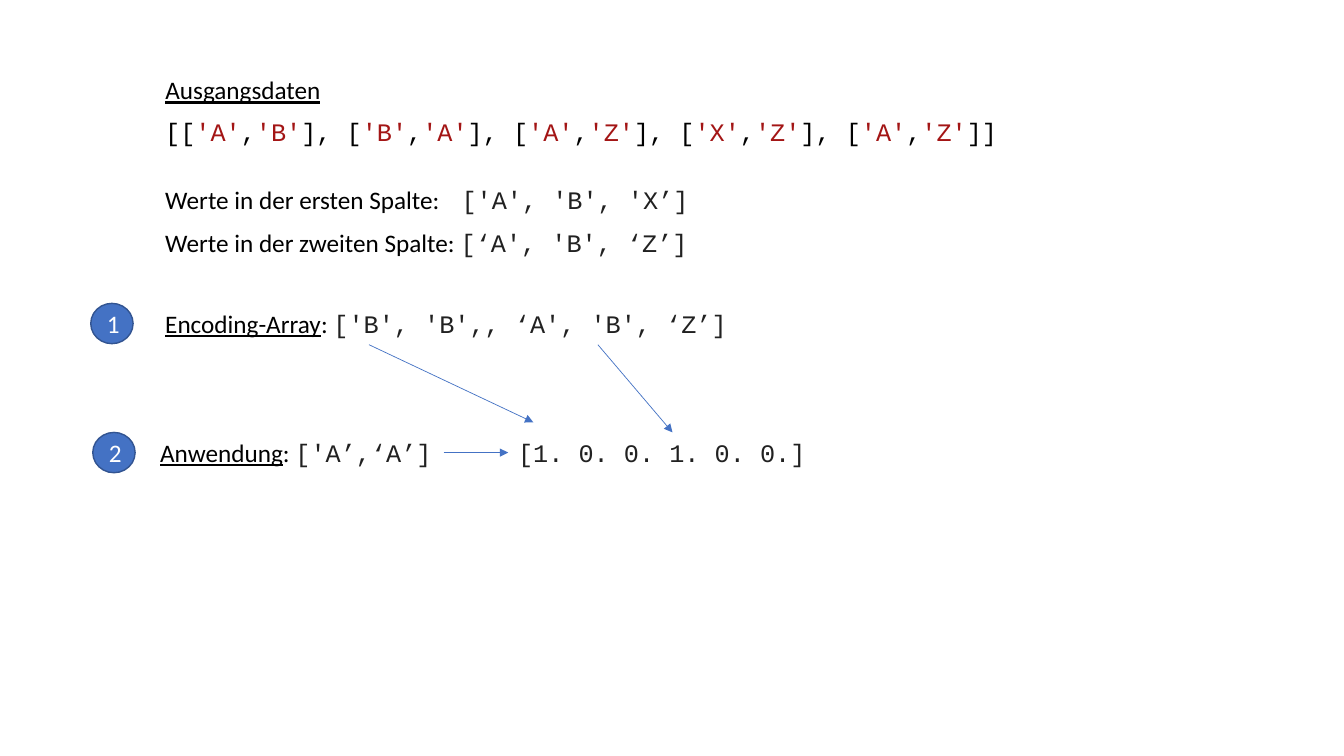
from lxml import etree
from pptx import Presentation
from pptx.dml.color import RGBColor
from pptx.enum import shapes, text
from pptx.oxml import ns
from pptx.util import Inches, Pt

BLACK = RGBColor(0x00, 0x00, 0x00)
CODE = RGBColor(0x21, 0x21, 0x21)
RED = RGBColor(0xA3, 0x15, 0x15)
BLUE = RGBColor(0x44, 0x72, 0xC4)
DARK_BLUE = RGBColor(0x32, 0x54, 0x91)
WHITE = RGBColor(0xFF, 0xFF, 0xFF)


def add_run(paragraph, content, font="Calibri", color=BLACK, underline=False):
    run = paragraph.add_run()
    run.text = content
    run.font.name = font
    run.font.size = Pt(18)
    run.font.color.rgb = color
    run.font.underline = underline


class EncodingSlide:
    """Holds the style and the current slide, with a method for each kind of element."""

    body_font = "Calibri"
    code_font = "Courier New"
    row_height = 0.4

    def __init__(self, presentation):
        self.slide = presentation.slides.add_slide(presentation.slide_layouts[5])

    def fill_text(self, shape, runs):
        frame = shape.text_frame
        frame.word_wrap = False
        frame.auto_size = text.MSO_AUTO_SIZE.SHAPE_TO_FIT_TEXT
        frame.vertical_anchor = text.MSO_ANCHOR.TOP
        paragraph = frame.paragraphs[0]
        paragraph.alignment = text.PP_ALIGN.LEFT
        for content, style in runs:
            add_run(paragraph, content, **style)

    def title(self, left, top, width, content):
        shape = self.slide.shapes.title
        shape.left, shape.top = Inches(left), Inches(top)
        shape.width, shape.height = Inches(width), Inches(self.row_height)
        self.fill_text(shape, [(content, self.label(underline=True))])

    def text_box(self, left, top, width, *runs):
        shape = self.slide.shapes.add_textbox(
            Inches(left), Inches(top), Inches(width), Inches(self.row_height))
        self.fill_text(shape, runs)

    def label(self, underline=False):
        return {"font": self.body_font, "underline": underline}

    def code(self, color=CODE):
        return {"font": self.code_font, "color": color}

    def labelled_code(self, left, top, width, name, array):
        self.text_box(left, top, width, (name, self.label(underline=True)),
                      (": ", self.label()), (array, self.code()))

    def pair_list(self, left, top, width, pairs):
        runs = []
        separator = "[["
        for first, second in pairs:
            runs += [(separator, self.code(BLACK)), (f"'{first}'", self.code(RED)),
                     (",", self.code(BLACK)), (f"'{second}'", self.code(RED))]
            separator = "],\u00a0["
        self.text_box(left, top, width, *runs, ("]]", self.code(BLACK)))

    def arrow(self, start, end):
        points = [Inches(value) for value in (*start, *end)]
        connector = self.slide.shapes.add_connector(shapes.MSO_CONNECTOR.STRAIGHT, *points)
        connector.line.color.rgb = BLUE
        connector.line.width = Pt(0.5)
        etree.SubElement(connector.line._get_or_add_ln(), ns.qn("a:tailEnd"), type="triangle")
        etree.SubElement(connector._element.spPr, ns.qn("a:effectLst"))

    def step(self, left, top, number):
        shape = self.slide.shapes.add_shape(
            shapes.MSO_SHAPE.OVAL, Inches(left), Inches(top),
            Inches(0.42), Inches(self.row_height))
        shape.shadow.inherit = False
        shape.fill.solid()
        shape.fill.fore_color.rgb = BLUE
        shape.line.color.rgb = DARK_BLUE
        shape.line.width = Pt(1)
        frame = shape.text_frame
        frame.vertical_anchor = text.MSO_ANCHOR.MIDDLE
        paragraph = frame.paragraphs[0]
        paragraph.alignment = text.PP_ALIGN.CENTER
        add_run(paragraph, str(number), font=self.body_font, color=WHITE)


presentation = Presentation()
presentation.slide_width, presentation.slide_height = Inches(13.33), Inches(7.5)
encoding = EncodingSlide(presentation)

LEFT, ENCODING_TOP, APPLICATION_TOP = 1.54, 3.01, 4.29

encoding.title(LEFT, 0.69, 1.76, "Ausgangsdaten")
encoding.pair_list(LEFT, 1.1, 8.49, ["AB", "BA", "AZ", "XZ", "AZ"])
encoding.text_box(LEFT, 1.78, 2.92, ("Werte in der ersten Spalte:", encoding.label()))
encoding.text_box(4.48, 1.78, 2.45, ("['A', 'B', 'X’]", encoding.code()))
encoding.text_box(LEFT, 2.21, 5.43, ("Werte in der zweiten Spalte: ", encoding.label()),
                  ("[‘A', 'B', ‘Z’]", encoding.code()))
encoding.labelled_code(LEFT, ENCODING_TOP, 5.81, "Encoding-Array",
                       "['B', 'B',, ‘A', 'B', ‘Z’]")
encoding.labelled_code(1.49, APPLICATION_TOP, 2.92, "Anwendung", "['A’,‘A’]")
encoding.text_box(5.04, APPLICATION_TOP, 3.07, ("[1. 0. 0. 1. 0. 0.]", encoding.code()))

encoding.arrow((4.4, 4.49), (5.04, 4.49))
encoding.arrow((3.66, 3.42), (5.29, 4.19))
encoding.arrow((5.93, 3.42), (6.67, APPLICATION_TOP))
encoding.step(0.9, ENCODING_TOP, 1)
encoding.step(0.92, APPLICATION_TOP, 2)

presentation.save("out.pptx")
